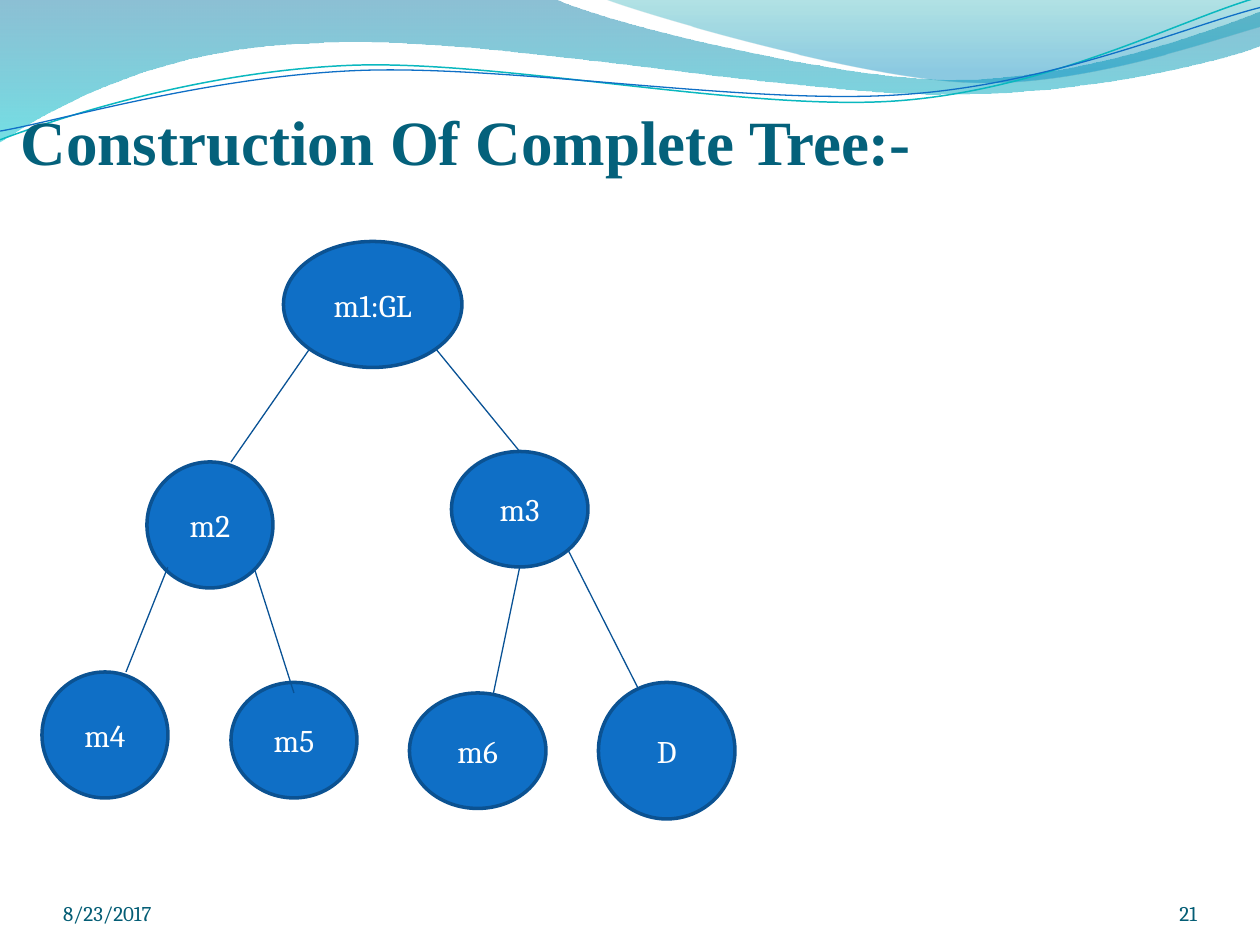
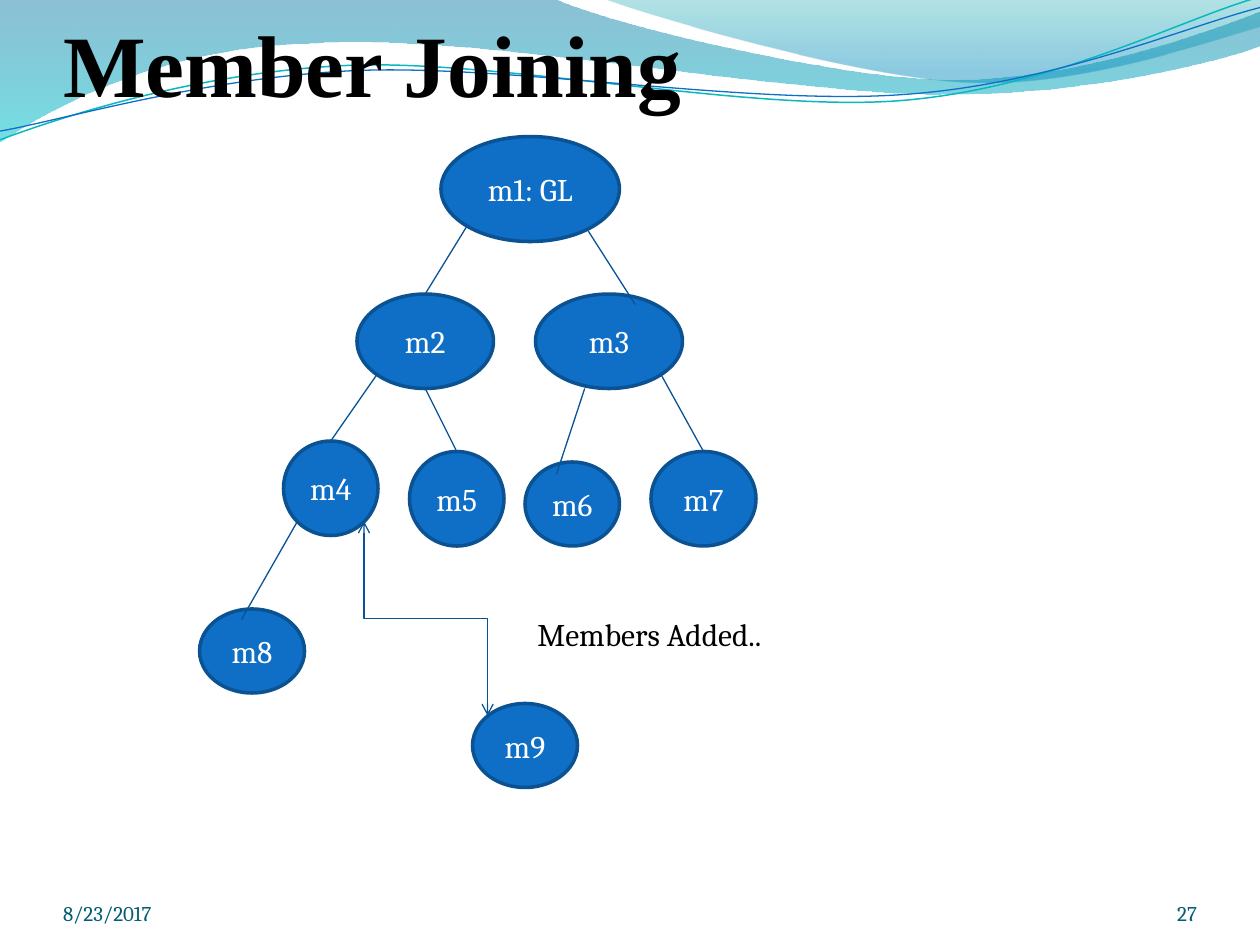
"""Build two slides that show a member tree and a member joining it."""
from lxml import etree
from pptx import Presentation, util as u
from pptx.dml.color import RGBColor as Rgb
from pptx.enum import shapes, text
from pptx.oxml.ns import qn


class Theme:
    fill, rim, edge = "0F6FC6", "0B5292", "095295"
    teal, foot, white, black = "04617B", "045D75", "FFFFFF", "000000"
    head, body = "Times New Roman", "Cambria"
    small, mid, big, huge = 12, 18, 36, 50


def write(shape, words, size, color, font=Theme.body, bold=False,
          align="LEFT", anchor="BOTTOM", pad=None, wrap=True):
    """Put one formatted line of text in a shape."""
    frame = shape.text_frame
    form = {"text": words, "word_wrap": wrap,
            "auto_size": text.MSO_AUTO_SIZE.NONE,
            "vertical_anchor": text.MSO_ANCHOR[anchor]}
    if pad:
        sides = ("margin_left", "margin_top", "margin_right", "margin_bottom")
        form.update(zip(sides, map(u.Pt, pad)))
    for key, val in form.items():
        setattr(frame, key, val)
    para = frame.paragraphs[0]
    para.alignment = text.PP_ALIGN[align]
    face = para.runs[0].font
    for key, val in {"name": font, "size": u.Pt(size), "bold": bold}.items():
        setattr(face, key, val)
    face.color.rgb = Rgb.from_string(color)


def link(slide, kind, *ends):
    """Draw a thin connector without a shadow."""
    line = slide.shapes.add_connector(kind, *map(u.Pt, ends))
    line.line.color.rgb = Rgb.from_string(Theme.edge)
    line.line.width = u.Pt(0.75)
    etree.SubElement(line.element.spPr, qn("a:effectLst"))
    return line


bands = [
    {"start": (0, 0), "grad": [(0, "0074A1", 45), (1, "00C6CF", 55)],
     "segs": [(316.8, -0.7),
              (342.7, 12.2, 478.1, 45.4, 545.8, 45.4),
              (614.2, 45.4, 689.8, 18.7, 720, 6.5),
              (720.7, 25.9),
              (707.8, 31.7, 626.4, 54.7, 537.1, 54),
              (447.1, 54, 275, 20.2, 185, 24.5),
              (92.9, 25.9, 33.1, 59.8, -0.7, 81.4),
              (0, 0)]},
    {"start": (344.9, -0.7), "grad": [(0, "00A1A9", 30), (0.8, "008BBF", 45)],
     "segs": [(366.5, 7.9, 491, 44.6, 553.7, 46.8),
              (616.3, 49.7, 691.9, 23, 720, 15.1),
              (720, 0),
              (344.9, -0.7)]},
    {"start": (0, 79.9), "line": ("0AB8BF", 0.85),
     "segs": [(34.6, 67, 113.8, 41, 199.4, 37.4),
              (284.4, 33.8, 427, 64.1, 513.4, 57.6),
              (599.8, 51.1, 675.4, 10.8, 718.6, -1.4)]},
    {"start": (0, 74.9), "line": ("0F6FC6", 0.75),
     "segs": [(33.8, 69.1, 118.1, 43.9, 203.8, 40.3),
              (290.2, 36.7, 429.8, 60.5, 516.2, 54),
              (601.9, 48.2, 677.5, 15.1, 720, 4.3)]},
]

LOW_L, LOW_R, LOW = (-0.71, 0.71), (0.71, 0.71), (0, 1)
pages = [
    {"title": "Construction Of Complete Tree:-", "box": (12, 18, 660, 84),
     "size": Theme.big, "color": Theme.teal, "num": "21",
     "nodes": {"m1:GL": (162, 138, 102, 72), "m2": (84, 264, 72, 72),
               "m3": (258, 258, 78, 66), "m4": (24, 384, 72, 72),
               "m5": (132, 390, 72, 66), "m6": (234, 396, 78, 66),
               "D": (342, 390, 78, 78)},
     "edges": [("m1:GL", LOW_L, (132, 264)), ("m1:GL", LOW_R, "m3"),
               ("m2", (-0.67, 0.67), (72, 384)), ("m2", LOW_R, (168, 396)),
               ("m3", LOW, (282, 396)), ("m3", LOW_R, (364.5, 393))]},
    {"title": "Member Joining", "box": (36, 0, 648, 66),
     "size": Theme.huge, "color": Theme.black, "num": "27",
     "nodes": {"m1: GL": (252, 78, 102, 60), "m2": (204, 168, 78, 54),
               "m3": (306, 168, 84, 54), "m4": (162, 252, 54, 54),
               "m5": (234, 258, 54, 54), "m6": (300, 264, 54, 48),
               "m7": (372, 258, 60, 54), "m8": (114, 348, 60, 48),
               "m9": (270, 402, 60, 48)},
     "edges": [("m1: GL", LOW_L, "m2"), ("m1: GL", (0.65, 0.8), (363, 174)),
               ("m2", LOW_L, "m4"), ("m2", LOW, "m5"),
               ("m3", (-0.33, 1), (318, 271)), ("m3", LOW_R, "m7"),
               ("m4", LOW_L, (138, 354))]},
]

deck = Presentation()
deck.slide_width, deck.slide_height = u.Pt(720), u.Pt(540)
plain = deck.slide_layouts[5]
for spare in list(plain.placeholders)[1:]:
    plain.shapes.element.remove(spare.element)
slides = [deck.slides.add_slide(plain) for page in pages]

for band in bands:
    dots = [tuple(map(u.Pt, seg[i:i + 2])) for seg in band["segs"]
            for i in range(0, len(seg), 2)]
    pen = slides[0].shapes.build_freeform(*map(u.Pt, band["start"]))
    pen.add_line_segments(dots, close="grad" in band)
    wave = pen.convert_to_shape()
    wave.shadow.inherit = False
    steps = iter(list(wave.element.spPr.iter(qn("a:lnTo"))))
    for seg in band["segs"]:
        step = next(steps)
        if len(seg) == 6:
            curve = etree.Element(qn("a:cubicBezTo"))
            step.addprevious(curve)
            for part in (step, next(steps), next(steps)):
                curve.append(part[0])
                part.getparent().remove(part)
    if "grad" in band:
        wave.line.fill.background()
        wave.fill.gradient()
        wave.fill.gradient_angle = 270
        for stop, (pos, color, alpha) in zip(wave.fill.gradient_stops, band["grad"]):
            stop.position = pos
            stop.color.rgb = Rgb.from_string(color)
        tones = wave.element.spPr.iter(qn("a:srgbClr"))
        for tone, (pos, color, alpha) in zip(tones, band["grad"]):
            etree.SubElement(tone, qn("a:alpha"), val=str(alpha * 1000))
    else:
        color, width = band["line"]
        wave.fill.background()
        wave.line.color.rgb = Rgb.from_string(color)
        wave.line.width = u.Pt(width)
    plain.shapes.element.append(wave.element)

for slide, page in zip(slides, pages):
    title = slide.shapes.title
    for key, val in zip(("left", "top", "width", "height"), page["box"]):
        setattr(title, key, u.Pt(val))
    write(title, page["title"], page["size"], page["color"], Theme.head,
          bold=True, pad=(0, 3.6, 0, 0))

    for words, left, width, align in (("8/23/2017", 36, 168, "LEFT"),
                                      (page["num"], 624, 60, "RIGHT")):
        foot = slide.shapes.add_textbox(*map(u.Pt, (left, 500.4, width, 28.8)))
        write(foot, words, Theme.small, Theme.foot, align=align, pad=(0, 0, 0, 0))

    nodes = {}
    for name, box in page["nodes"].items():
        node = slide.shapes.add_shape(shapes.MSO_SHAPE.OVAL, *map(u.Pt, box))
        node.shadow.inherit = False
        node.fill.solid()
        node.fill.fore_color.rgb = Rgb.from_string(Theme.fill)
        node.line.color.rgb = Rgb.from_string(Theme.rim)
        node.line.width = u.Pt(2)
        write(node, name, Theme.mid, Theme.white, align="CENTER",
              anchor="MIDDLE", wrap=False)
        nodes[name] = node

    for name, (dx, dy), end in page["edges"]:
        x, y, w, h = page["nodes"][name]
        start = (x + w / 2 * (1 + dx), y + h / 2 * (1 + dy))
        goal = start if end in nodes else end
        line = link(slide, shapes.MSO_CONNECTOR.STRAIGHT, *start, *goal)
        if end in nodes:
            line.end_connect(nodes[end], 0)

x1, y1, x2, y2 = 208, 298, 278.6, 409
midx, midy = (x1 + x2) / 2, (y1 + y2) / 2
dx, dy = (y2 - y1) / 2, (x2 - x1) / 2
bent = link(slides[1], shapes.MSO_CONNECTOR.ELBOW,
            midx + dx, midy - dy, midx - dx, midy + dy)
bent.element.spPr.find(qn("a:xfrm")).set("rot", str(270 * 60000))
for tip in ("a:headEnd", "a:tailEnd"):
    etree.SubElement(bent.element.spPr.find(qn("a:ln")), qn(tip), type="arrow")

note = slides[1].shapes.add_textbox(*map(u.Pt, (300, 348, 234, 28.8)))
write(note, "Members Added..", Theme.mid, Theme.black, anchor="TOP")

deck.save("out.pptx")
